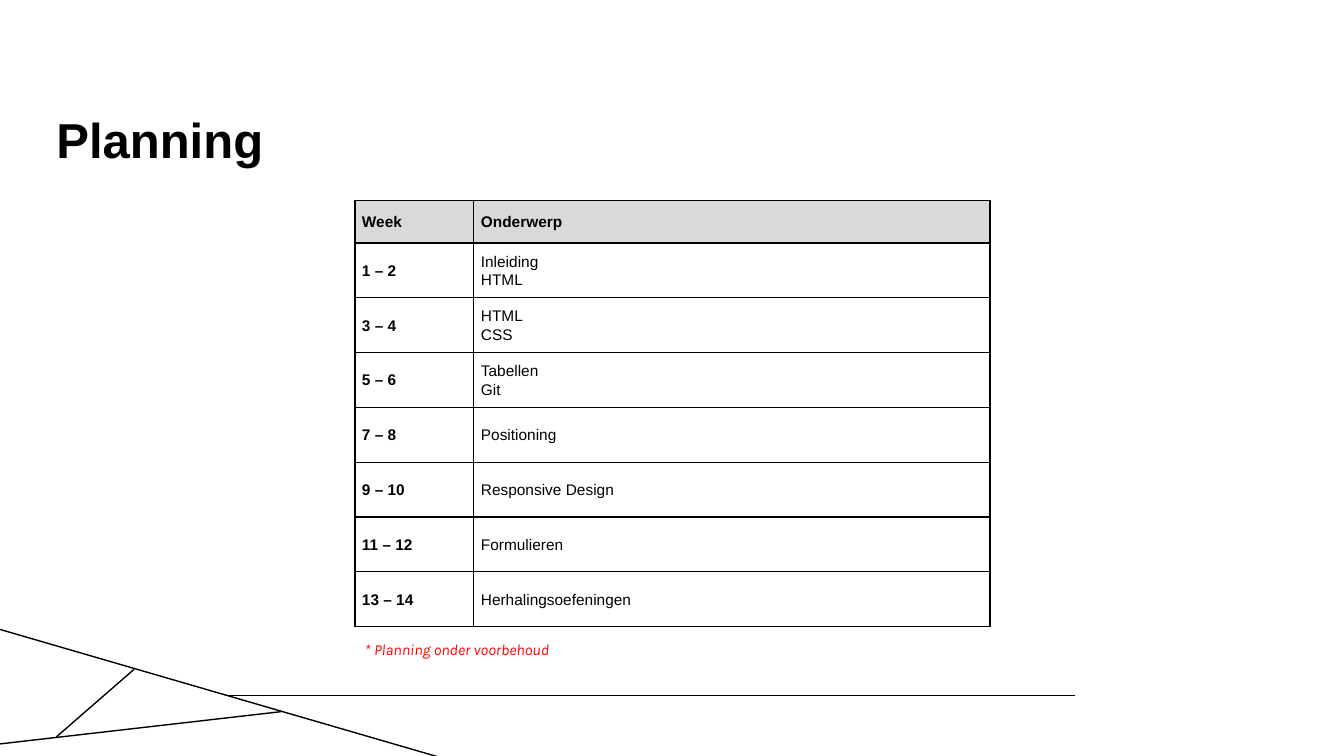
from lxml.etree import SubElement
from pptx import Presentation
from pptx.dml.color import RGBColor
from pptx.enum.shapes import MSO_CONNECTOR as Connector
from pptx.enum.text import MSO_ANCHOR as Anchor, MSO_AUTO_SIZE as AutoSize, PP_ALIGN as Align
from pptx.oxml.ns import qn
from pptx.util import Inches, Pt

COLORS = {"ink": "000000", "header": "D9D9D9", "notice": "FF0000"}

DECOR_LINES = [
    (2.23, 6.9, 10.66, 6.9),
    (0, 7.38, 2.79, 7.06),
    (-0.05, 6.23, 4.42, 7.53),
    (1.33, 6.64, 0.56, 7.31),
]

SCHEDULE = [
    ("Week", "Onderwerp"),
    ("1 – 2", "Inleiding\nHTML"),
    ("3 – 4", "HTML\nCSS"),
    ("5 – 6", "Tabellen\nGit"),
    ("7 – 8", "Positioning"),
    ("9 – 10", "Responsive Design"),
    ("11 – 12", "Formulieren"),
    ("13 – 14", "Herhalingsoefeningen"),
]
COLUMN_WIDTHS = (1.18, 5.12)
HEADER_HEIGHT = 0.42
ROW_HEIGHT = 0.544


def color(name):
    return RGBColor.from_string(COLORS[name])


def write_text(frame, text, size=11, font="Arial", ink="ink", bold=False,
               italic=False, anchor=Anchor.MIDDLE, spacing=None, after=0):
    frame.vertical_anchor = anchor
    para = frame.paragraphs[0]
    para.alignment = Align.LEFT
    para.line_spacing = spacing
    para.space_before = Pt(0)
    para.space_after = Pt(after)
    for index, line in enumerate(text.split("\n")):
        if index:
            para.add_line_break()
        span = para.add_run()
        span.text = line
        span.font.size = Pt(size)
        span.font.name = font
        span.font.bold = bold
        span.font.italic = italic
        span.font.color.rgb = color(ink)
    for line_break in para._p.findall(qn("a:br")):
        SubElement(line_break, qn("a:rPr"), sz=str(size * 100))


def fill_placeholder(box, text, left, top, width, height, inset, wrap, **style):
    box.left, box.top = Inches(left), Inches(top)
    box.width, box.height = Inches(width), Inches(height)
    frame = box.text_frame
    frame.auto_size = AutoSize.NONE
    frame.word_wrap = wrap
    frame.margin_left = frame.margin_right = Inches(inset)
    frame.margin_top = frame.margin_bottom = Inches(inset / 2)
    write_text(frame, text, **style)


def add_line(page, x1, y1, x2, y2):
    line = page.shapes.add_connector(
        Connector.STRAIGHT, Inches(x1), Inches(y1), Inches(x2), Inches(y2))
    line.line.color.rgb = color("ink")
    line.line.width = Pt(1)
    SubElement(line._element.spPr, qn("a:effectLst"))


def add_borders(cell):
    properties = cell._tc.get_or_add_tcPr()
    for side in ("lnL", "lnR", "lnT", "lnB"):
        edge = SubElement(properties, qn(f"a:{side}"), w=str(Pt(1)))
        fill = SubElement(edge, qn("a:solidFill"))
        SubElement(fill, qn("a:srgbClr"), val=COLORS["ink"])


def format_cell(cell, text, header, bold):
    cell.margin_left = cell.margin_right = Inches(0.07)
    cell.margin_top = cell.margin_bottom = 0
    cell.vertical_anchor = Anchor.MIDDLE
    add_borders(cell)
    if header:
        cell.fill.solid()
        cell.fill.fore_color.rgb = color("header")
    else:
        cell.fill.background()
    write_text(cell.text_frame, text, bold=bold, spacing=1.07, after=8)


def add_schedule(page, left, top):
    height = HEADER_HEIGHT + ROW_HEIGHT * (len(SCHEDULE) - 1)
    table = page.shapes.add_table(
        len(SCHEDULE), len(COLUMN_WIDTHS), Inches(left), Inches(top),
        Inches(sum(COLUMN_WIDTHS)), Inches(height)).table
    table.first_row = table.horz_banding = False
    for column, width in zip(table.columns, COLUMN_WIDTHS):
        column.width = Inches(width)
    for r, entries in enumerate(SCHEDULE):
        table.rows[r].height = Inches(ROW_HEIGHT if r else HEADER_HEIGHT)
        for c, text in enumerate(entries):
            format_cell(table.cell(r, c), text, header=r == 0, bold=r == 0 or c == 0)


def main():
    deck = Presentation()
    deck.slide_width, deck.slide_height = Inches(13.33), Inches(7.5)
    page = deck.slides.add_slide(deck.slide_layouts[0])
    for ends in DECOR_LINES:
        add_line(page, *ends)
    fill_placeholder(page.shapes.title, "Planning", 0.56, 1.15, 12.2, 1.2,
                     inset=0, wrap=True, size=35, bold=True,
                     anchor=Anchor.TOP, spacing=0.9)
    add_schedule(page, 3.52, 1.99)
    fill_placeholder(page.placeholders[1], "* Planning onder voorbehoud",
                     3.52, 6.11, 2.16, 0.47, inset=0.1, wrap=False,
                     font="Karla", ink="notice", italic=True, anchor=Anchor.BOTTOM)
    deck.save("out.pptx")


if __name__ == "__main__":
    main()
